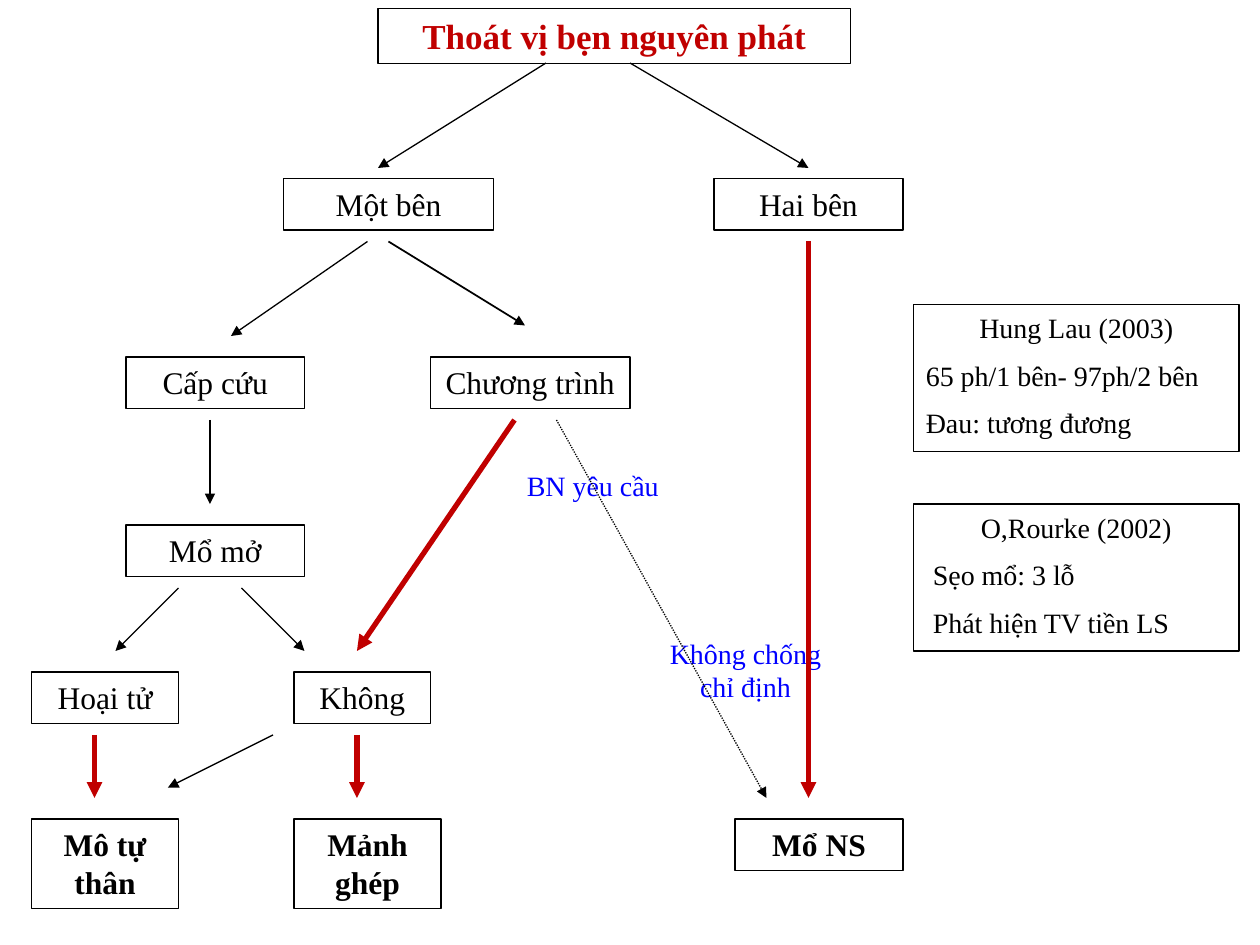
from typing import NamedTuple, Optional

from lxml.etree import SubElement
from pptx import Presentation
from pptx.dml.color import RGBColor
from pptx.enum.dml import MSO_LINE_DASH_STYLE as Dash
from pptx.enum.shapes import MSO_CONNECTOR as Conn, MSO_SHAPE as Shape
from pptx.enum.text import MSO_ANCHOR as Anchor, MSO_AUTO_SIZE as AutoSize, PP_ALIGN as Align
from pptx.oxml.ns import qn
from pptx.util import Inches, Pt

COLS, ROWS = 120, 90
CELL = Inches(10) / COLS
FONT = "Times New Roman"
BLACK, RED, BLUE = "000000", "C00000", "0000FF"
ONE_LINE, TWO_LINES = 4.9, 8.5


class Box(NamedTuple):
    text: str
    col: float
    row: float
    width: float
    height: float = ONE_LINE
    size: int = 18
    color: str = BLACK
    bold: bool = False


class Arrow(NamedTuple):
    start: tuple[float, float]
    end: tuple[float, float]
    color: str = BLACK
    weight: float = 0.75
    dash: Optional[Dash] = None


class Label(NamedTuple):
    text: str
    col: float
    row: float
    width: float
    height: float
    align: Align


class Note(NamedTuple):
    source: str
    findings: tuple[str, ...]
    row: float
    indent: float = 0


BOXES = [
    Box("Thoát vị bẹn nguyên phát", 36, 0.8, 45, 5.25, 20, RED, True),
    Box("Một bên", 27, 17, 20),
    Box("Hai bên", 68, 17, 18),
    Box("Cấp cứu", 12, 34, 17),
    Box("Chương trình", 41, 34, 19),
    Box("Mổ mở", 12, 50, 17),
    Box("Hoại tử", 3, 64, 14),
    Box("Không", 28, 64, 13),
    Box("Mô tự thân", 3, 78, 14, TWO_LINES, bold=True),
    Box("Mảnh ghép", 28, 78, 14, TWO_LINES, bold=True),
    Box("Mổ NS", 70, 78, 16, bold=True),
]

ARROWS = [
    Arrow((52, 6), (36, 16)),
    Arrow((60, 6), (77, 16)),
    Arrow((35, 23), (22, 32)),
    Arrow((37, 23), (50, 31), weight=1),
    Arrow((20, 40), (20, 48)),
    Arrow((17, 56), (11, 62)),
    Arrow((23, 56), (29, 62)),
    Arrow((26, 70), (16, 75)),
    Arrow((9, 70), (9, 76), RED, 3),
    Arrow((34, 70), (34, 76), RED, 3),
    Arrow((49, 40), (34, 62), RED, 3),
    Arrow((77, 23), (77, 76), RED, 3),
    Arrow((53, 40), (73, 76), dash=Dash.ROUND_DOT),
]

LABELS = [
    Label("Không chống chỉ định", 61, 60, 20, 7.7, Align.CENTER),
    Label("BN yêu cầu", 49, 44, 17, 4.4, Align.LEFT),
]

NOTES = [
    Note("Hung Lau (2003)", ("65 ph/1 bên- 97ph/2 bên", "Đau: tương đương"), 29),
    Note("O,Rourke (2002)", ("Sẹo mổ: 3 lỗ", "Phát hiện TV tiền LS"), 48, indent=4),
]


def rgb(color: str) -> RGBColor:
    return RGBColor.from_string(color)


def grid(*cells: float) -> list[int]:
    return [round(n * CELL) for n in cells]


def write(p, text: str, *, size=18, color=BLACK, bold=False, align=Align.CENTER,
          before=0, indent=0) -> None:
    p.alignment = align
    if before:
        p.space_before = Pt(before)
    if indent:
        pPr = p._p.get_or_add_pPr()
        pPr.set("marL", str(Pt(indent)))
        pPr.set("indent", "0")
    r = p.add_run()
    r.text = text
    r.font.name, r.font.size, r.font.bold = FONT, Pt(size), bold
    r.font.color.rgb = rgb(color)


def prepare_frame(sp):
    tf = sp.text_frame
    tf.word_wrap = True
    tf.auto_size = AutoSize.SHAPE_TO_FIT_TEXT
    tf.vertical_anchor = Anchor.TOP
    return tf


def add_frame(s, *cells: float):
    """Add an outlined rectangle and return its text frame."""
    sp = s.shapes.add_shape(Shape.RECTANGLE, *grid(*cells))
    sp.shadow.inherit = False
    sp.fill.background()
    sp.line.color.rgb = rgb(BLACK)
    sp.line.width = Pt(0.75)
    return prepare_frame(sp)


def draw_box(s, box: Box) -> None:
    tf = add_frame(s, box.col, box.row, box.width, box.height)
    write(tf.paragraphs[0], box.text, size=box.size, color=box.color, bold=box.bold)


def draw_label(s, label: Label) -> None:
    sp = s.shapes.add_textbox(*grid(label.col, label.row, label.width, label.height))
    tf = prepare_frame(sp)
    write(tf.paragraphs[0], label.text, size=16, color=BLUE, align=label.align)


def draw_note(s, note: Note) -> None:
    tf = add_frame(s, 87, note.row, 31, 14)
    write(tf.paragraphs[0], note.source, size=16)
    for finding in note.findings:
        write(tf.add_paragraph(), finding, size=16, align=Align.LEFT,
              before=8, indent=note.indent)


def draw_arrow(s, arrow: Arrow) -> None:
    line = s.shapes.add_connector(Conn.STRAIGHT, *grid(*arrow.start, *arrow.end))
    line.line.color.rgb = rgb(arrow.color)
    line.line.width = Pt(arrow.weight)
    if arrow.dash:
        line.line.dash_style = arrow.dash
    SubElement(line.line._get_or_add_ln(), qn("a:tailEnd"), type="triangle")
    SubElement(line._element.spPr, qn("a:effectLst"))


def main() -> None:
    prs = Presentation()
    prs.slide_width, prs.slide_height = grid(COLS, ROWS)
    s = prs.slides.add_slide(prs.slide_layouts[6])
    for draw, items in ((draw_box, BOXES), (draw_label, LABELS),
                        (draw_arrow, ARROWS), (draw_note, NOTES)):
        for item in items:
            draw(s, item)
    prs.save("out.pptx")


if __name__ == "__main__":
    main()
